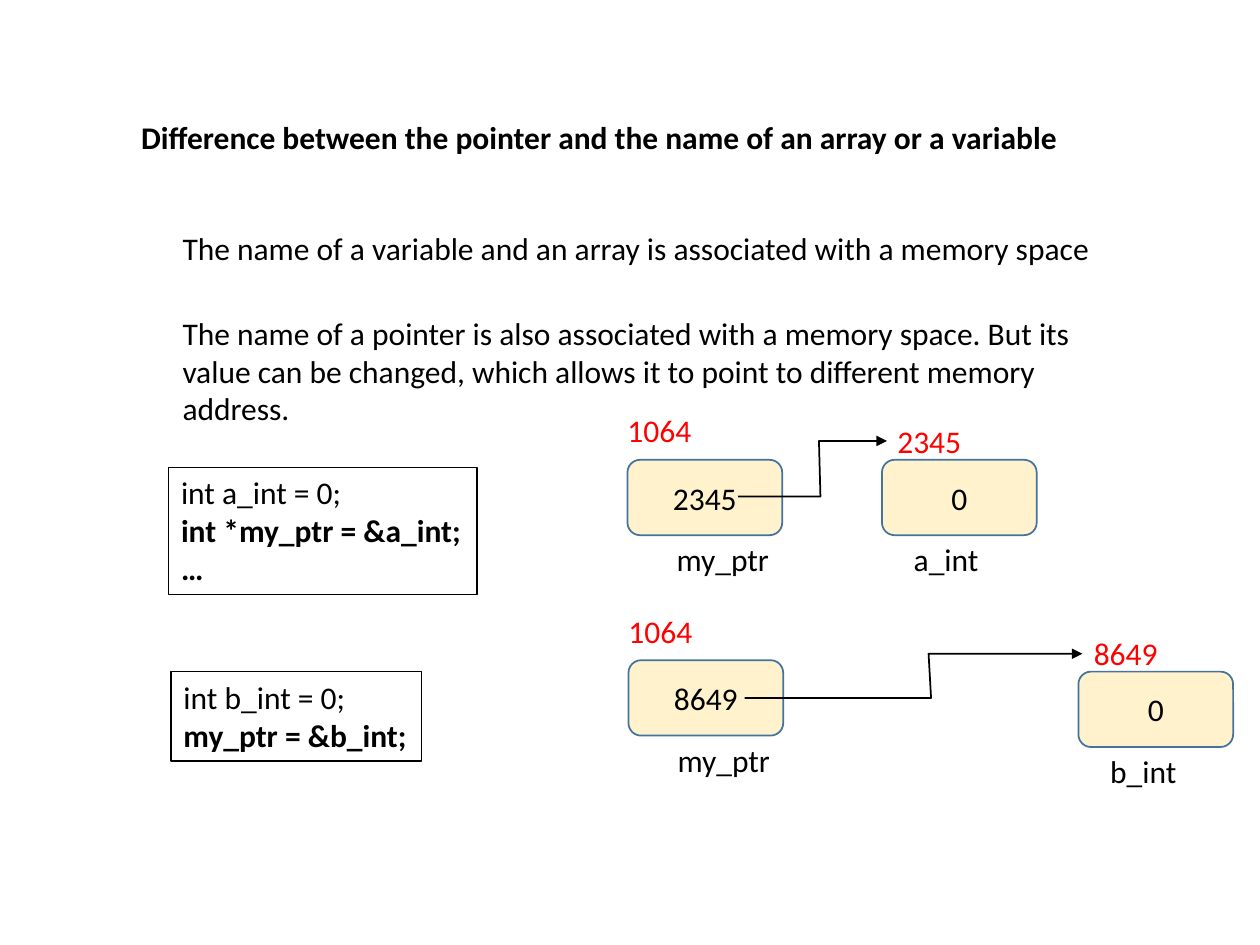
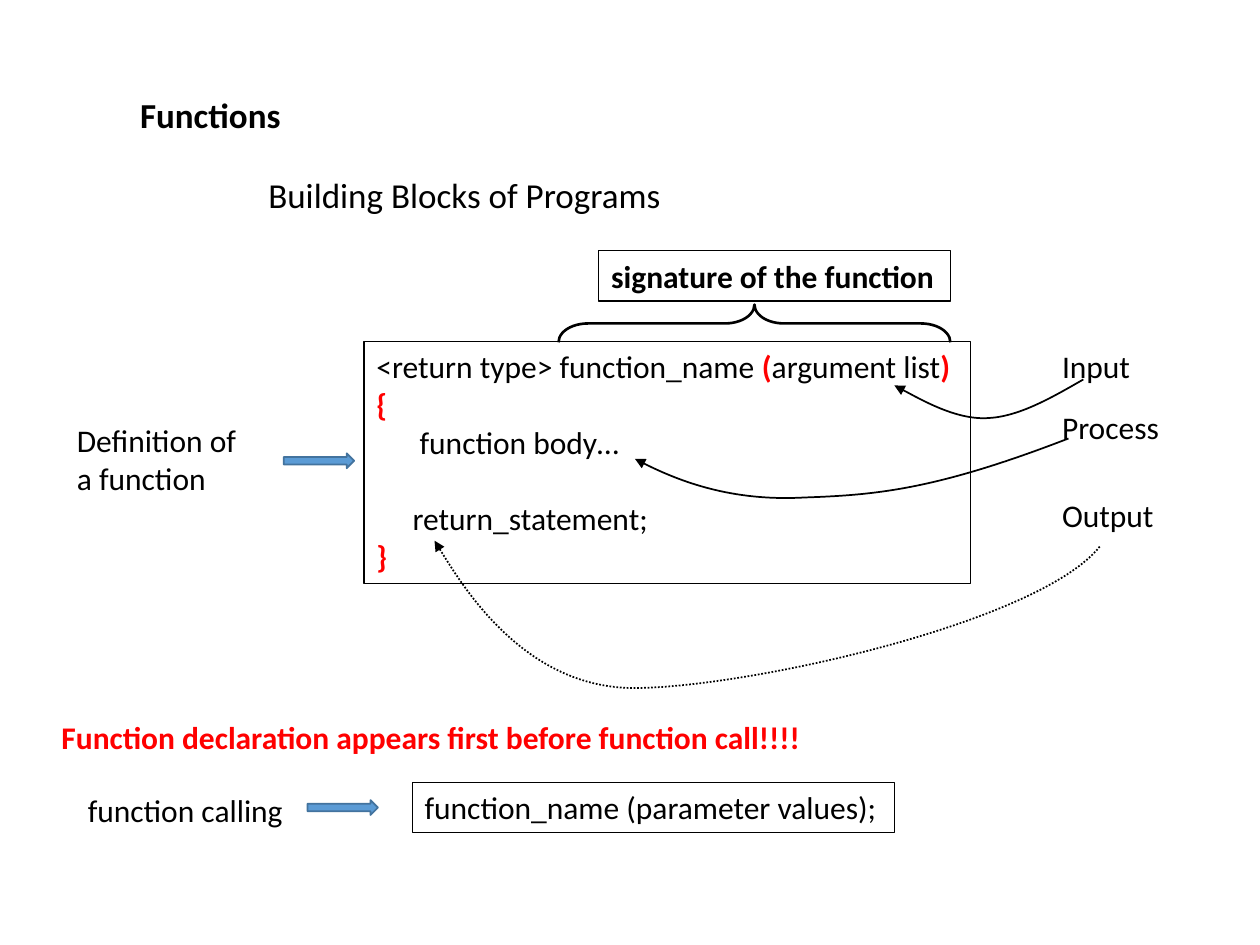
from lxml import etree
from pptx import Presentation
from pptx import util as u
from pptx.dml.color import RGBColor
from pptx.enum import dml, shapes, text
from pptx.oxml.ns import qn

COLORS = {
    "ink": "000000",
    "accent": "FF0000",
    "cell": "FFF2CC",
    "arrow": "5B9BD5",
    "edge": "43739E",
}
FONT = "Calibri"
LINE_H = 1.02
CELL_W, CELL_H = 3.12, 1.52
POINTER = {"name_dx": 0.74, "name_w": 2.45, "addr_dx": -0.25, "addr_dy": -1.1}
VARIABLE = {"name_dx": 0.39, "name_w": 2, "addr_dx": 0.06, "addr_dy": -0.89}


def rgb(name):
    return RGBColor.from_string(COLORS[name])


def cm(*lengths):
    return [u.Cm(v) for v in lengths]


def set_font(font, size, color, bold):
    font.name = FONT
    font.size = u.Pt(size)
    font.bold = bold
    font.color.rgb = rgb(color)


def write_paragraph(p, runs, size=18, color="ink", bold=False):
    if isinstance(runs, str):
        runs = [(runs, color, bold)]
    set_font(p.font, size, color, bold)
    for words, run_color, run_bold in runs:
        r = p.add_run()
        r.text = words
        set_font(r.font, size, run_color, run_bold)


def fill_frame(tf, lines, wrap=False, **style):
    tf.word_wrap = wrap
    tf.auto_size = text.MSO_AUTO_SIZE.SHAPE_TO_FIT_TEXT
    tf.vertical_anchor = text.MSO_ANCHOR.TOP
    for i, runs in enumerate(lines):
        p = tf.paragraphs[0] if i == 0 else tf.add_paragraph()
        p.alignment = text.PP_ALIGN.LEFT
        write_paragraph(p, runs, **style)


def add_title(s, words, x, y, w, h, size):
    sp = s.shapes.title
    sp.left, sp.top, sp.width, sp.height = cm(x, y, w, h)
    fill_frame(sp.text_frame, [words], size=size, bold=True)


def add_label(s, words, x, y, w, h=LINE_H, **style):
    sp = s.shapes.add_textbox(*cm(x, y, w, h))
    fill_frame(sp.text_frame, [words], **style)


def add_preset(s, kind, x, y, w, h, fill=None, line="edge", weight=1):
    sp = s.shapes.add_shape(kind, *cm(x, y, w, h))
    sp.shadow.inherit = False
    if fill:
        sp.fill.solid()
        sp.fill.fore_color.rgb = rgb(fill)
    else:
        sp.fill.background()
    sp.line.color.rgb = rgb(line)
    sp.line.width = u.Pt(weight)
    return sp


def add_code_box(s, lines, x, y, w, h=LINE_H, **style):
    sp = add_preset(s, shapes.MSO_SHAPE.RECTANGLE, x, y, w, h,
                    line="ink", weight=0.75)
    fill_frame(sp.text_frame, lines, **style)
    return sp.text_frame


def add_memory_cell(s, x, y, value, name, address, place):
    sp = add_preset(s, shapes.MSO_SHAPE.ROUNDED_RECTANGLE,
                    x, y, CELL_W, CELL_H, fill="cell")
    tf = sp.text_frame
    tf.vertical_anchor = text.MSO_ANCHOR.MIDDLE
    p = tf.paragraphs[0]
    p.alignment = text.PP_ALIGN.CENTER
    write_paragraph(p, value)
    add_label(s, name, x + place["name_dx"], y + 1.5, place["name_w"])
    add_label(s, address, x + place["addr_dx"], y + place["addr_dy"], 1.8,
              color="accent")


def bend(sp):
    path = sp._element.find(".//" + qn("a:path"))
    segments = path.findall(qn("a:lnTo"))
    for i in range(0, len(segments), 3):
        curve = etree.SubElement(path, qn("a:cubicBezTo"))
        for segment in segments[i:i + 3]:
            curve.append(segment[0])
            path.remove(segment)


def add_path_arrow(s, points, curved=False, dotted=False):
    points = [cm(*point) for point in points]
    builder = s.shapes.build_freeform(*points[0])
    builder.add_line_segments(points[1:], close=False)
    sp = builder.convert_to_shape()
    if curved:
        bend(sp)
    sp.shadow.inherit = False
    sp.fill.background()
    sp.line.color.rgb = rgb("ink")
    sp.line.width = u.Pt(1)
    if dotted:
        sp.line.dash_style = dml.MSO_LINE.ROUND_DOT
    ln = sp.line._get_or_add_ln()
    etree.SubElement(ln, qn("a:tailEnd"), type="triangle")


def add_block_arrow(s, x, y):
    add_preset(s, shapes.MSO_SHAPE.RIGHT_ARROW, x, y, 1.42, 0.3, fill="arrow")


def build_pointer_slide(s):
    add_title(s, "Difference between the pointer and the name of an array or a variable",
              2.59, 2.26, 19.18, LINE_H, 18)
    add_label(s, "The name of a variable and an array is associated with a memory space",
              3.43, 4.5, 19.02)
    add_label(s, "The name of a pointer is also associated with a memory space. "
              "But its value can be changed, which allows it to point to "
              "different memory address.", 3.43, 6.2, 18.82, 2.57, wrap=True)

    add_code_box(s, ["int a_int = 0;",
                     [("int *my_ptr = &a_int;", "ink", True)],
                     [("…", "ink", True)]], 3.4, 9.42, 6.22, 2.57)
    add_code_box(s, ["int b_int = 0;",
                     [("my_ptr = &b_int;", "ink", True)]], 3.45, 13.54, 5.05, 1.8)

    for cell in (
        (12.65, 9.27, "2345", "my_ptr", "1064", POINTER),
        (17.78, 9.27, "0", "a_int", "2345", VARIABLE),
        (12.67, 13.31, "8649", "my_ptr", "1064", POINTER),
        (21.74, 13.54, "0", "b_int", "8649", VARIABLE),
    ):
        add_memory_cell(s, *cell)

    add_path_arrow(s, [(14.88, 10.01), (16.54, 10.01), (16.51, 8.89), (17.88, 8.89)])
    add_path_arrow(s, [(15.01, 14.07), (18.77, 14.07), (18.72, 13.18), (21.82, 13.18)])


def build_function_slide(s):
    add_title(s, "Functions", 2.57, 1.75, 3.38, 1.12, 20)
    add_label(s, "Building Blocks of Programs", 5.16, 3.38, 12.7, 1.12,
              size=20, wrap=True)

    tf = add_code_box(s, [
        [("<return type> function_name ", "ink", False), ("(", "accent", True),
         ("argument list", "ink", False), (")", "accent", True)],
        [("{", "accent", True)],
        "function body…",
        "return_statement;",
        [("}", "accent", True)],
    ], 7.34, 6.88, 12.22, 4.88)
    body, result = tf.paragraphs[2:4]
    for p, indent in ((body, 0.87), (result, 0.73)):
        p._p.get_or_add_pPr().set("marL", str(u.Cm(indent)))
    result.space_before = u.Pt(22)

    brace = add_preset(s, shapes.MSO_SHAPE.RIGHT_BRACE, 14.83, 2.57, 0.76, 7.9,
                       line="ink", weight=1.5)
    brace.rotation = 270
    brace.adjustments[0] = 0.78
    add_code_box(s, ["signature of the function"], 12.07, 5.05, 7.09, bold=True)

    for words, y, w in (("Input", 6.88, 1.95), ("Process", 8.1, 2.55),
                        ("Output", 9.88, 2.45)):
        add_label(s, words, 21.16, y, w)
    add_path_arrow(s, [(21.84, 7.65), (21.18, 8.03), (20.52, 8.41), (19.89, 8.43),
                       (19.25, 8.46), (18.03, 7.77), (18.03, 7.77)], curved=True)
    add_path_arrow(s, [(21.54, 8.84), (18.85, 9.88), (17.65, 9.98), (16.21, 10.03),
                       (14.76, 10.11), (13.54, 9.65), (12.8, 9.25)], curved=True)
    add_path_arrow(s, [(22.17, 11.02), (20.93, 12.57), (14.96, 13.89), (12.73, 13.87),
                       (10.46, 13.84), (8.76, 10.9), (8.76, 10.9)],
                   curved=True, dotted=True)

    add_label(s, "Definition of a function", 1.3, 8.36, 3.94, 1.8, wrap=True)
    add_block_arrow(s, 5.72, 9.14)
    add_label(s, "Function declaration appears first before function call!!!!",
              0.99, 14.35, 15.54, color="accent", bold=True)
    add_label(s, "function calling", 1.52, 15.82, 4.5)
    add_block_arrow(s, 6.2, 16.13)
    add_code_box(s, ["function_name (parameter values);"], 8.31, 15.77, 9.73)


def main():
    prs = Presentation()
    prs.slide_width, prs.slide_height = cm(25.4, 19.05)
    title_only = prs.slide_layouts[5]
    for build in (build_pointer_slide, build_function_slide):
        build(prs.slides.add_slide(title_only))
    prs.save("out.pptx")


if __name__ == "__main__":
    main()
